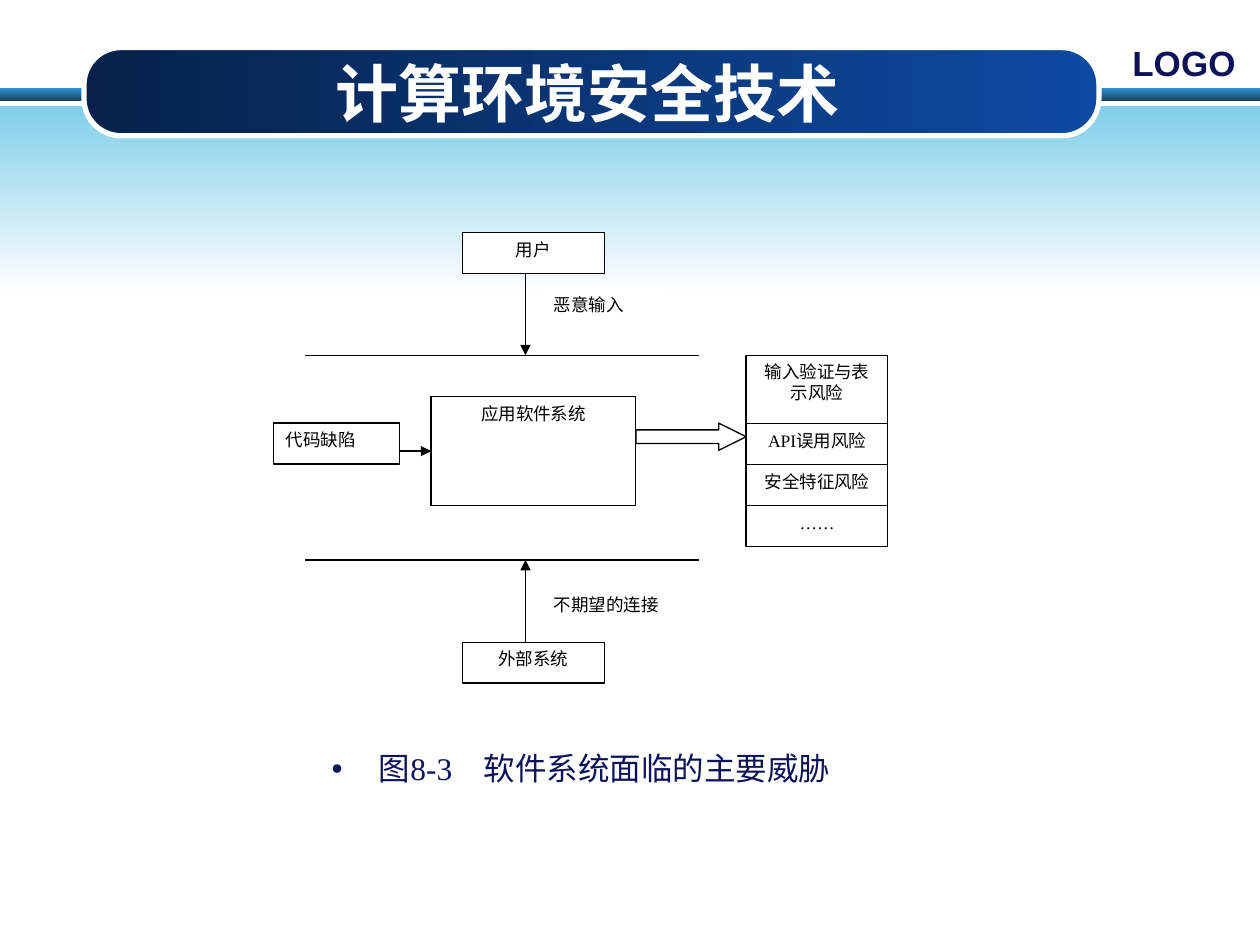
from dataclasses import dataclass

from lxml.etree import SubElement
from pptx import Presentation
from pptx.dml.color import RGBColor
from pptx.enum.shapes import MSO_CONNECTOR, MSO_SHAPE
from pptx.enum.text import MSO_ANCHOR, MSO_AUTO_SIZE, PP_ALIGN
from pptx.oxml.ns import qn
from pptx.shapes.autoshape import Shape
from pptx.shapes.connector import Connector
from pptx.slide import Slide
from pptx.util import Pt

WHITE = RGBColor(0xFF, 0xFF, 0xFF)
BLACK = RGBColor(0x00, 0x00, 0x00)
NAVY = RGBColor(0x0D, 0x12, 0x59)
BAND_TOP = RGBColor(0x31, 0x91, 0xD3)
BAND_BOTTOM = RGBColor(0x17, 0x43, 0x62)
SKY = RGBColor(0x81, 0xCF, 0xEB)
BANNER_LEFT = RGBColor(0x06, 0x22, 0x4B)
BANNER_RIGHT = RGBColor(0x0E, 0x4A, 0xA2)

HEADING_FONT = "Arial"
DIAGRAM_FONT = "Times New Roman"
DOWNWARD = 270
RIGHTWARD = 0

BOX_HEIGHT = 23.4
BOX_WIDTH = 81
OUTLINE = 0.75
ACTOR_LEFT = 264.3
INPUT_X = 300.3
BOUNDARY_LEFT, BOUNDARY_RIGHT = 174.4, 399.6
USER_TOP = 133
UPPER_BOUNDARY, LOWER_BOUNDARY = 203, 320
EXTERNAL_TOP = 367
MIDDLE_TOP = 241.8
RISK_LEFT = 426.4
APP_RIGHT = 363.4


@dataclass(frozen=True)
class Panel:
    """A gradient-filled background shape."""
    geometry: MSO_SHAPE
    left: float
    top: float
    width: float
    height: float
    start: RGBColor
    end: RGBColor
    angle: int


@dataclass(frozen=True)
class Box:
    label: str
    left: float
    top: float
    width: float = BOX_WIDTH
    height: float = BOX_HEIGHT
    align: PP_ALIGN = PP_ALIGN.CENTER
    outlined: bool = True


@dataclass(frozen=True)
class Line:
    x1: float
    y1: float
    x2: float
    y2: float
    arrow: bool = False


PANELS = [
    Panel(MSO_SHAPE.RECTANGLE, 0, 50.4, 720, 7.2, BAND_TOP, BAND_BOTTOM, DOWNWARD),
    Panel(MSO_SHAPE.RECTANGLE, 0, 60.4, 720, 107.4, SKY, WHITE, DOWNWARD),
]
BANNER = Panel(MSO_SHAPE.ROUNDED_RECTANGLE, 48, 27.2, 580, 50.4,
               BANNER_LEFT, BANNER_RIGHT, RIGHTWARD)

APPLICATION = Box("应用软件系统", 246.4, 226.6, 117, 62.4)
BOXES = [
    Box("用户", ACTOR_LEFT, USER_TOP),
    Box("外部系统", ACTOR_LEFT, EXTERNAL_TOP),
    Box("恶意输入", 309.4, 164.2, 72, align=PP_ALIGN.LEFT, outlined=False),
    Box("不期望的连接", 309.4, 335.8, 90, align=PP_ALIGN.LEFT, outlined=False),
    Box("代码缺陷", 156.3, MIDDLE_TOP, 72, align=PP_ALIGN.LEFT),
]
RISKS = [("输入验证与表示风险", 39), ("API误用风险", BOX_HEIGHT),
         ("安全特征风险", BOX_HEIGHT), ("……", BOX_HEIGHT)]
LINES = [
    Line(BOUNDARY_LEFT, UPPER_BOUNDARY, BOUNDARY_RIGHT, UPPER_BOUNDARY),
    Line(BOUNDARY_LEFT, LOWER_BOUNDARY, BOUNDARY_RIGHT, LOWER_BOUNDARY),
    Line(INPUT_X, USER_TOP + BOX_HEIGHT, INPUT_X, UPPER_BOUNDARY, arrow=True),
    Line(INPUT_X, EXTERNAL_TOP, INPUT_X, LOWER_BOUNDARY, arrow=True),
]
CODE_DEFECT_FLOW = Line(228.3, 257.8, APPLICATION.left, 257.8, arrow=True)


def draw_panel(slide: Slide, panel: Panel) -> Shape:
    shape = slide.shapes.add_shape(panel.geometry, Pt(panel.left), Pt(panel.top),
                                   Pt(panel.width), Pt(panel.height))
    shape.shadow.inherit = False
    shape.line.fill.background()
    shape.fill.gradient()
    shape.fill.gradient_angle = panel.angle
    for stop, color in zip(shape.fill.gradient_stops, (panel.start, panel.end)):
        stop.color.rgb = color
    return shape


def style_plain(shape: Shape, outlined: bool = True) -> None:
    """White fill with an optional thin black outline."""
    shape.shadow.inherit = False
    shape.fill.solid()
    shape.fill.fore_color.rgb = WHITE
    if outlined:
        shape.line.color.rgb = BLACK
        shape.line.width = Pt(OUTLINE)
    else:
        shape.line.fill.background()


def set_text(shape: Shape, text: str, font_name: str, size: float, color: RGBColor,
             align: PP_ALIGN, anchor: MSO_ANCHOR, bold: bool = False) -> None:
    frame = shape.text_frame
    frame.text = text
    frame.word_wrap = True
    frame.auto_size = MSO_AUTO_SIZE.NONE
    frame.vertical_anchor = anchor
    paragraph = frame.paragraphs[0]
    paragraph.alignment = align
    paragraph.space_before = Pt(0)
    font = paragraph.font
    font.name, font.size, font.bold = font_name, Pt(size), bold
    font.color.rgb = color


def draw_box(slide: Slide, box: Box) -> Shape:
    shape = slide.shapes.add_shape(MSO_SHAPE.RECTANGLE, Pt(box.left), Pt(box.top),
                                   Pt(box.width), Pt(box.height))
    style_plain(shape, box.outlined)
    set_text(shape, box.label, DIAGRAM_FONT, 10, BLACK, box.align, MSO_ANCHOR.TOP)
    return shape


def draw_line(slide: Slide, line: Line) -> Connector:
    connector = slide.shapes.add_connector(MSO_CONNECTOR.STRAIGHT, Pt(line.x1), Pt(line.y1),
                                           Pt(line.x2), Pt(line.y2))
    connector.line.color.rgb = BLACK
    connector.line.width = Pt(OUTLINE)
    properties = connector.element.spPr
    if line.arrow:
        SubElement(properties.find(qn("a:ln")), qn("a:tailEnd"), type="triangle")
    SubElement(properties, qn("a:effectLst"))
    return connector


def place(shape: Shape, left: float, top: float, width: float, height: float) -> None:
    """Position a placeholder and bring it to the front."""
    shape.left, shape.top, shape.width, shape.height = map(Pt, (left, top, width, height))
    shape.element.getparent().append(shape.element)


def draw_header(slide: Slide) -> None:
    for panel in PANELS:
        draw_panel(slide, panel)
    banner = draw_panel(slide, BANNER)
    banner.adjustments[0] = 0.42
    banner.line.color.rgb = WHITE
    banner.line.width = Pt(3)

    emblem = slide.shapes.add_textbox(Pt(640), Pt(20.2), Pt(78), Pt(31.5))
    set_text(emblem, "LOGO", HEADING_FONT, 20, NAVY, PP_ALIGN.LEFT, MSO_ANCHOR.TOP, bold=True)

    title = slide.shapes.title
    place(title, 48, 30.2, 576, 44.6)
    set_text(title, "计算环境安全技术", HEADING_FONT, 36, WHITE,
             PP_ALIGN.CENTER, MSO_ANCHOR.MIDDLE, bold=True)


def draw_diagram(slide: Slide) -> None:
    application = draw_box(slide, APPLICATION)
    for line in LINES:
        draw_line(slide, line)
    for box in BOXES:
        draw_box(slide, box)
    draw_line(slide, CODE_DEFECT_FLOW).end_connect(application, 1)

    risk_top = UPPER_BOUNDARY
    for label, height in RISKS:
        draw_box(slide, Box(label, RISK_LEFT, risk_top, height=height))
        risk_top += height

    risk_arrow = slide.shapes.add_shape(MSO_SHAPE.RIGHT_ARROW, Pt(APP_RIGHT), Pt(MIDDLE_TOP),
                                        Pt(RISK_LEFT - APP_RIGHT), Pt(15.6))
    risk_arrow.adjustments[1] = 1.01
    style_plain(risk_arrow)


def draw_caption(slide: Slide) -> None:
    caption = slide.placeholders[1]
    place(caption, 8, 422, 648, 34)
    caption.text_frame.text = ""
    properties = caption.text_frame.paragraphs[0]._p.get_or_add_pPr()
    properties.set("marL", "0")
    properties.set("indent", "0")
    SubElement(properties, qn("a:buNone"))
    set_text(caption, "图8-3　软件系统面临的主要威胁", DIAGRAM_FONT, 18, NAVY,
             PP_ALIGN.CENTER, MSO_ANCHOR.MIDDLE)


def main() -> None:
    presentation = Presentation()
    presentation.slide_width, presentation.slide_height = Pt(720), Pt(540)
    slide = presentation.slides.add_slide(presentation.slide_layouts[1])
    draw_header(slide)
    draw_diagram(slide)
    draw_caption(slide)
    presentation.save("out.pptx")


if __name__ == "__main__":
    main()
